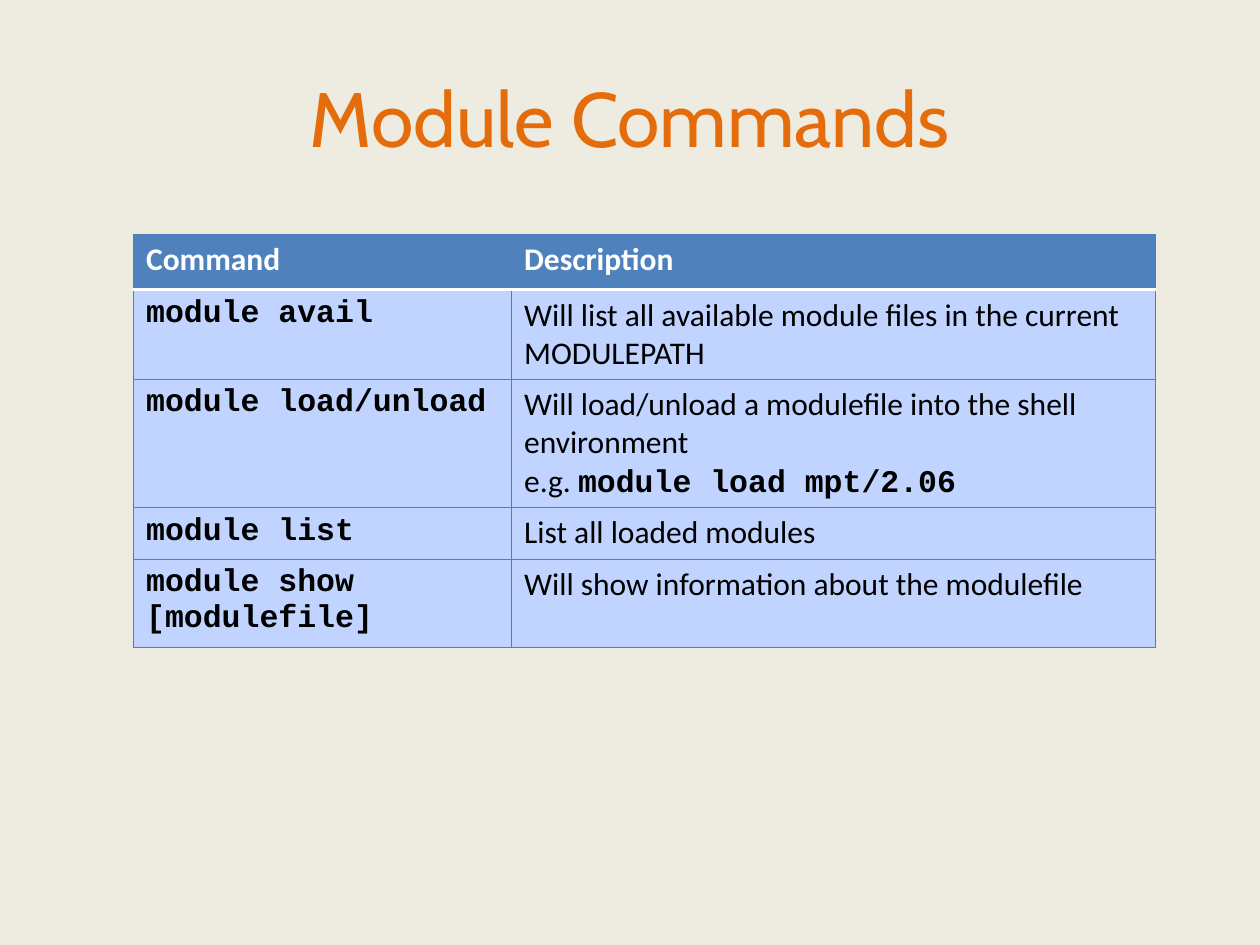
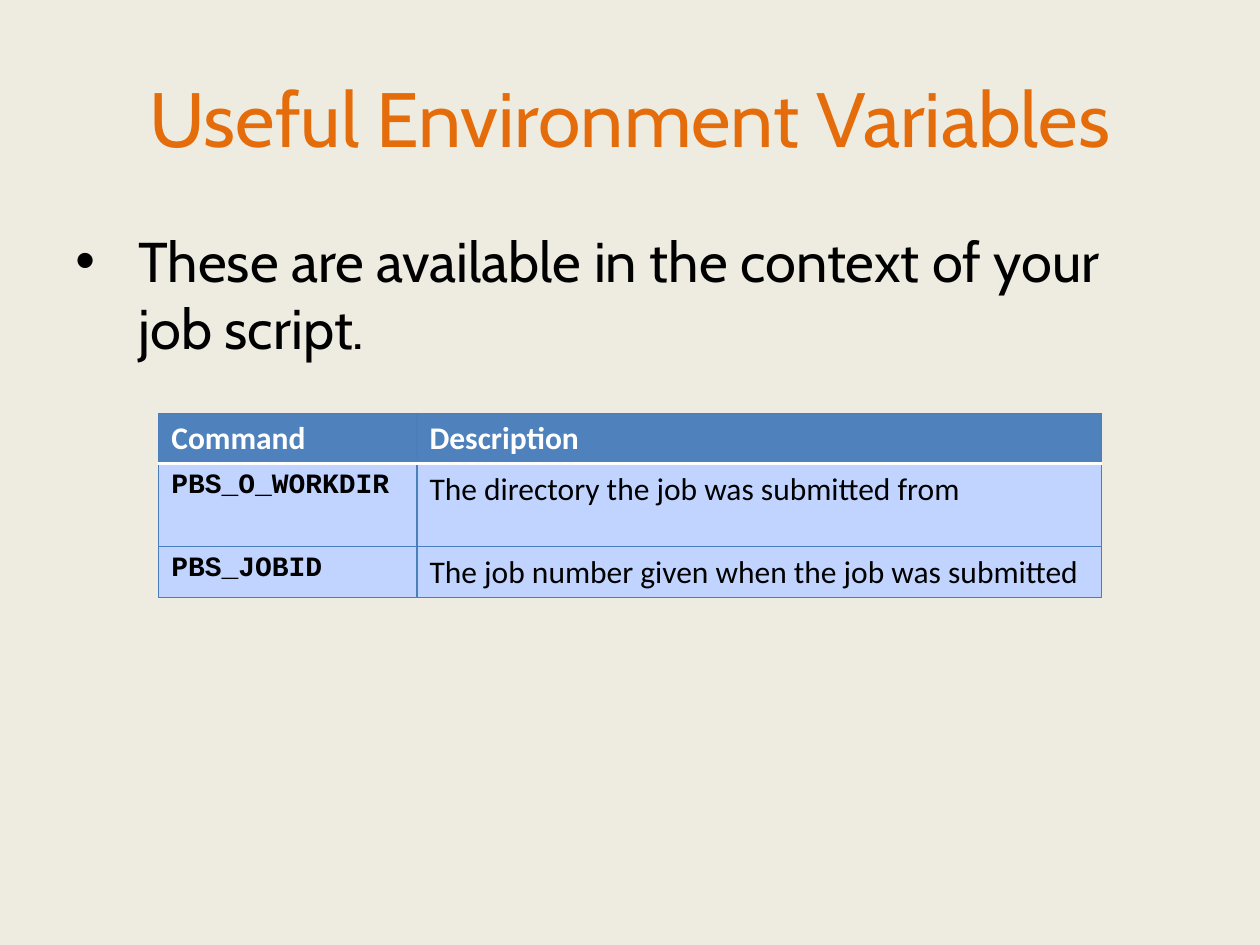
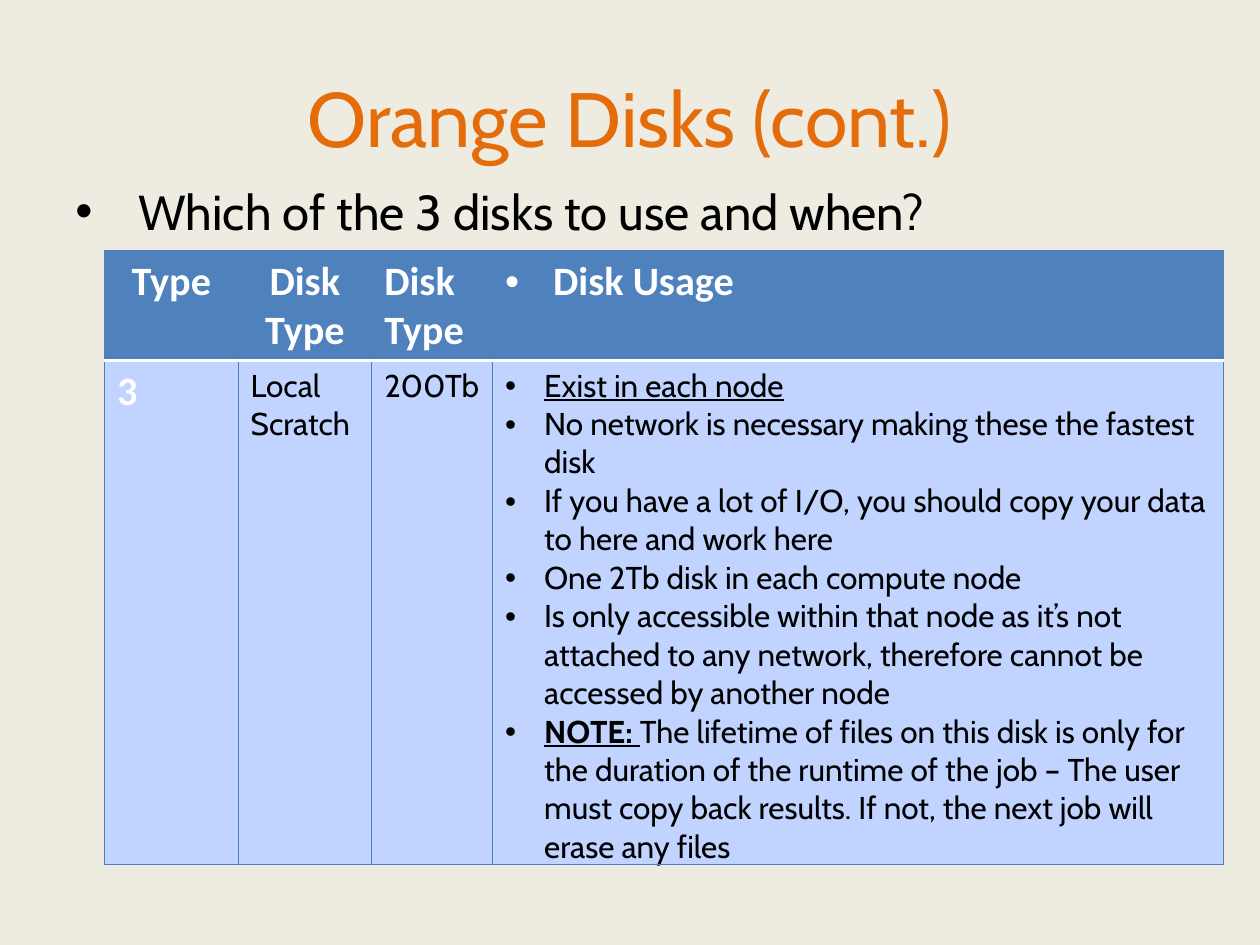
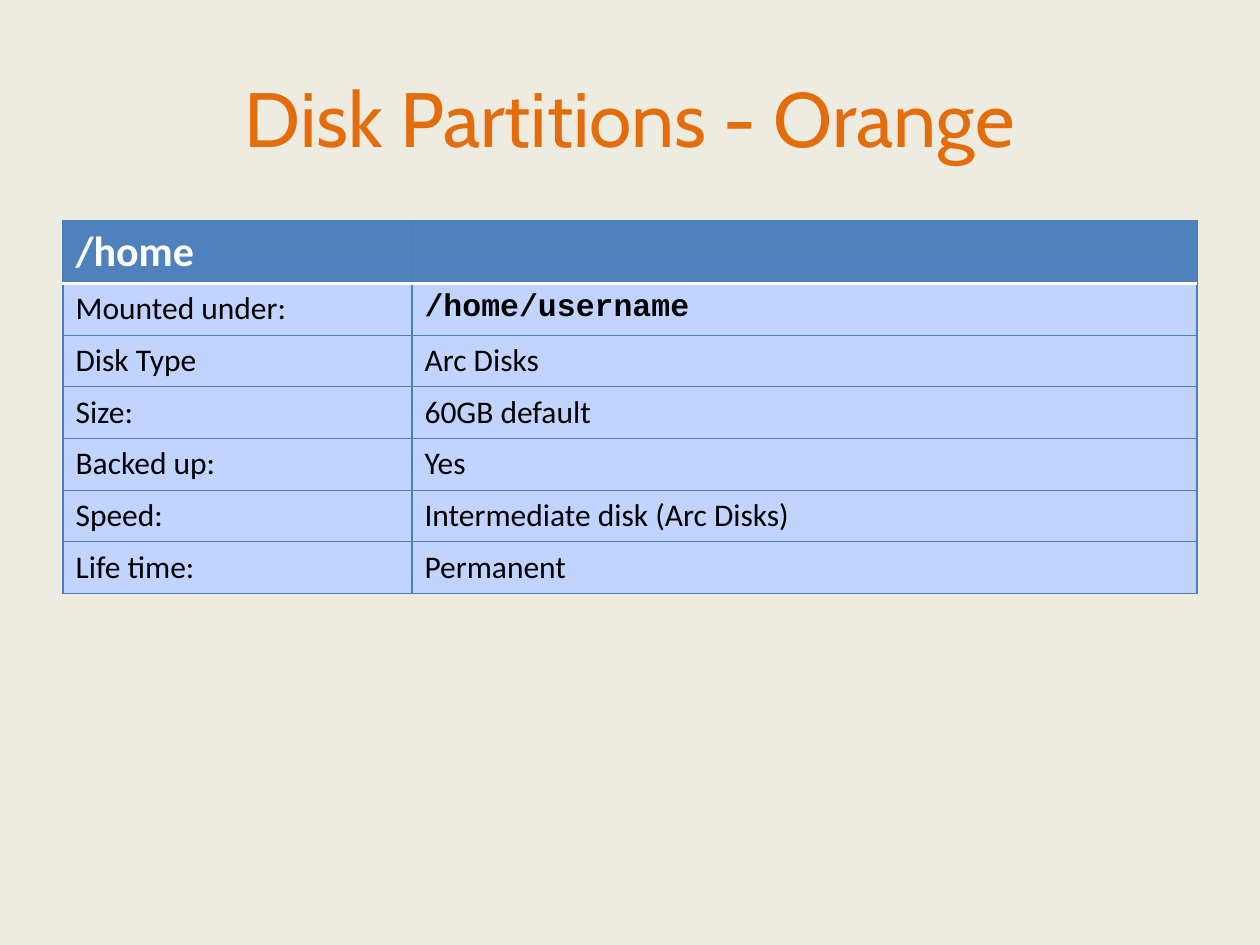
from dataclasses import dataclass

from lxml import etree
from pptx import Presentation, util as u
from pptx.dml.color import RGBColor
from pptx.enum import text
from pptx.oxml import ns


@dataclass(frozen=True)
class Theme:
    background: str = "EEECE1"
    orange: str = "E46C0A"
    black: str = "000000"
    white: str = "FFFFFF"
    header_fill: str = "4F81BD"
    body_fill: str = "C0D4FF"
    grid: str = "4B7EBC"
    sans: str = "Cabin"
    cell: str = "Calibri"
    mono: str = "Courier New"
    grid_pt: float = 0.75
    rule_pt: float = 2


theme = Theme()

# Text styles: font, size, colour, bold, underline
TITLE = (theme.sans, 44, theme.orange, False, False)
LEAD = (theme.sans, 32, theme.black, False, False)
QUESTION = (theme.sans, 28, theme.black, False, False)
HEAD = (theme.cell, 18, theme.white, True, False)
HEAD_MID = (theme.cell, 23, theme.white, True, False)
HEAD_BIG = (theme.cell, 24, theme.white, True, False)
BODY = (theme.cell, 18, theme.black, False, False)
CODE = (theme.mono, 18, theme.black, True, False)
CODE_SMALL = (theme.mono, 16, theme.black, True, False)
DISK = (theme.sans, 18, theme.black, False, False)
DISK_LINE = (theme.sans, 18, theme.black, False, True)
DISK_NOTE = (theme.sans, 18, theme.black, True, True)


def write(tf, paragraphs, indent=0, align=None):
    """Each paragraph is a list of (text, style) runs; an indent adds a bullet."""
    for i, runs in enumerate(paragraphs):
        p = tf.paragraphs[0] if i == 0 else tf.add_paragraph()
        if align:
            p.alignment = align
        if indent:
            pPr = p._p.get_or_add_pPr()
            pPr.set("marL", str(u.Inches(indent)))
            pPr.set("indent", str(-u.Inches(indent)))
            etree.SubElement(pPr, ns.qn("a:buFont"), typeface="Arial")
            etree.SubElement(pPr, ns.qn("a:buChar"), char="•")
        added = []
        for words, style in runs:
            r = p.add_run()
            r.text = words
            added.append((r, style))
        targets = [(p, runs[0][1])] if len({style for _, style in runs}) == 1 else added
        for target, (name, size, color, bold, underline) in targets:
            f = target.font
            f.name, f.size, f.bold, f.underline = name, u.Pt(size), bold, underline
            f.color.rgb = RGBColor.from_string(color)


def add_grid(s, left, top, widths, heights, rows):
    """Each cell is (paragraphs, indent, alignment), or None when empty."""
    tbl = s.shapes.add_table(len(rows), len(widths), u.Inches(left), u.Inches(top),
                             u.Inches(sum(widths)), u.Inches(sum(heights))).table
    for col, width in zip(tbl.columns, widths):
        col.width = u.Inches(width)
    for row, height in zip(tbl.rows, heights):
        row.height = u.Inches(height)
    for i, row in enumerate(rows):
        for j, content in enumerate(row):
            cell = tbl.cell(i, j)
            cell.fill.solid()
            cell.fill.fore_color.rgb = RGBColor.from_string(
                theme.body_fill if i else theme.header_fill)
            # Borders go before the fill; a white rule parts header and body
            tcPr = cell._tc.get_or_add_tcPr()
            for k, side in enumerate(("lnL", "lnR", "lnT", "lnB")):
                rule = (i, side) in ((0, "lnB"), (1, "lnT"))
                ln = etree.Element(ns.qn("a:" + side), w=str(
                    u.Pt(theme.rule_pt if rule else theme.grid_pt)))
                fill = etree.SubElement(ln, ns.qn("a:solidFill"))
                etree.SubElement(fill, ns.qn("a:srgbClr"),
                                 val=theme.white if rule else theme.grid)
                tcPr.insert(k, ln)
            if content:
                write(cell.text_frame, *content)


prs = Presentation()
prs.slide_width, prs.slide_height = u.Inches(10), u.Inches(7.5)
CENTER = text.PP_ALIGN.CENTER

# Backgrounds and titles
slides = []
for title in ("Module Commands", "Useful Environment Variables",
              "Orange Disks (cont.)", "Disk Partitions - Orange"):
    s = prs.slides.add_slide(prs.slide_layouts[6])
    s.background.fill.solid()
    s.background.fill.fore_color.rgb = RGBColor.from_string(theme.background)
    tf = s.shapes.add_textbox(u.Inches(0.5), u.Inches(0.3), u.Inches(9), u.Inches(1.25)).text_frame
    tf.word_wrap = True
    tf.vertical_anchor = text.MSO_ANCHOR.MIDDLE
    write(tf, [[(title, TITLE)]], align=CENTER)
    slides.append(s)
modules, variables, disks, partitions = slides

# Module commands
rows = [[([[("Command", HEAD)]],), ([[("Description", HEAD)]],)]]
for command, description in (
    ("module avail",
     [[("Will list all available module files in the current MODULEPATH", BODY)]]),
    ("module load/unload",
     [[("Will load/unload a modulefile into the shell environment", BODY)],
      [("e.g. ", BODY), ("module load mpt/2.06", CODE)]]),
    ("module list", [[("List all loaded modules", BODY)]]),
    ("module show [modulefile]", [[("Will show information about the modulefile", BODY)]]),
):
    rows.append([([[(command, CODE)]],), (description,)])
add_grid(modules, 1.06, 1.86, [3, 5.11], [0.44, 0.71, 1.02, 0.41, 0.67], rows)

# Environment variables
rows = [[([[("Command", HEAD)]],), ([[("Description", HEAD)]],)]]
for variable, description in (
    ("PBS_O_WORKDIR", "The directory the job was submitted from"),
    ("PBS_JOBID", "The job number given when the job was submitted"),
):
    rows.append([([[(variable, CODE_SMALL)]],), ([[(description, BODY)]],)])
add_grid(variables, 1.26, 3.28, [2.05, 5.43], [0.4, 0.66, 0.4], rows)

# Disk usage
usage = [[(words, DISK)] for words in (
    "No network is necessary making these the fastest disk",
    "If you have a lot of I/O, you should copy your data to here and work here",
    "One 2Tb disk in each compute node",
    "Is only accessible within that node as it’s not attached to any network, "
    "therefore cannot be accessed by another node",
)]
usage.insert(0, [("Exist in each node", DISK_LINE)])
usage.append([("NOTE: ", DISK_NOTE),
              ("The lifetime of files on this disk is only for the duration of the runtime "
               "of the job – The user must copy back results. If not, the next job will "
               "erase any files", DISK)])
rows = [
    [([[("Type", HEAD_MID)]], 0, CENTER), ([[("Disk Type", HEAD_MID)]], 0, CENTER),
     ([[("Disk Type", HEAD_MID)]],), ([[("Disk Usage", HEAD_MID)]], 0.38)],
    [([[("3", HEAD_MID)]],), ([[("Local Scratch", DISK)]],),
     ([[("200Tb", DISK)]],), (usage, 0.31)],
]
add_grid(disks, 0.83, 1.99, [1.06, 1.06, 0.96, 5.8], [0.87, 4], rows)

# Lead-in bullets
for s, top, width, height, words, style in (
    (variables, 1.75, 9, 1.33, "These are available in the context of your job script.", LEAD),
    (disks, 1.39, 8.66, 0.57, "Which of the 3 disks to use and when?", QUESTION),
):
    tf = s.shapes.add_textbox(u.Inches(0.5), u.Inches(top), u.Inches(width), u.Inches(height)).text_frame
    tf.word_wrap = True
    write(tf, [[(words, style)]], 0.5)

# Home partition
rows = [[([[("/home", HEAD_BIG)]],), None]]
for label, value, style in (
    ("Mounted under:", "/home/username", CODE),
    ("Disk Type", "Arc Disks", BODY),
    ("Size:", "60GB default", BODY),
    ("Backed up:", "Yes", BODY),
    ("Speed:", "Intermediate disk (Arc Disks)", BODY),
    ("Life time:", "Permanent", BODY),
):
    rows.append([([[(label, BODY)]],), ([[(value, style)]],)])
add_grid(partitions, 0.5, 1.75, [2.77, 6.23], [0.5] + [0.41] * 6, rows)

prs.save("out.pptx")
